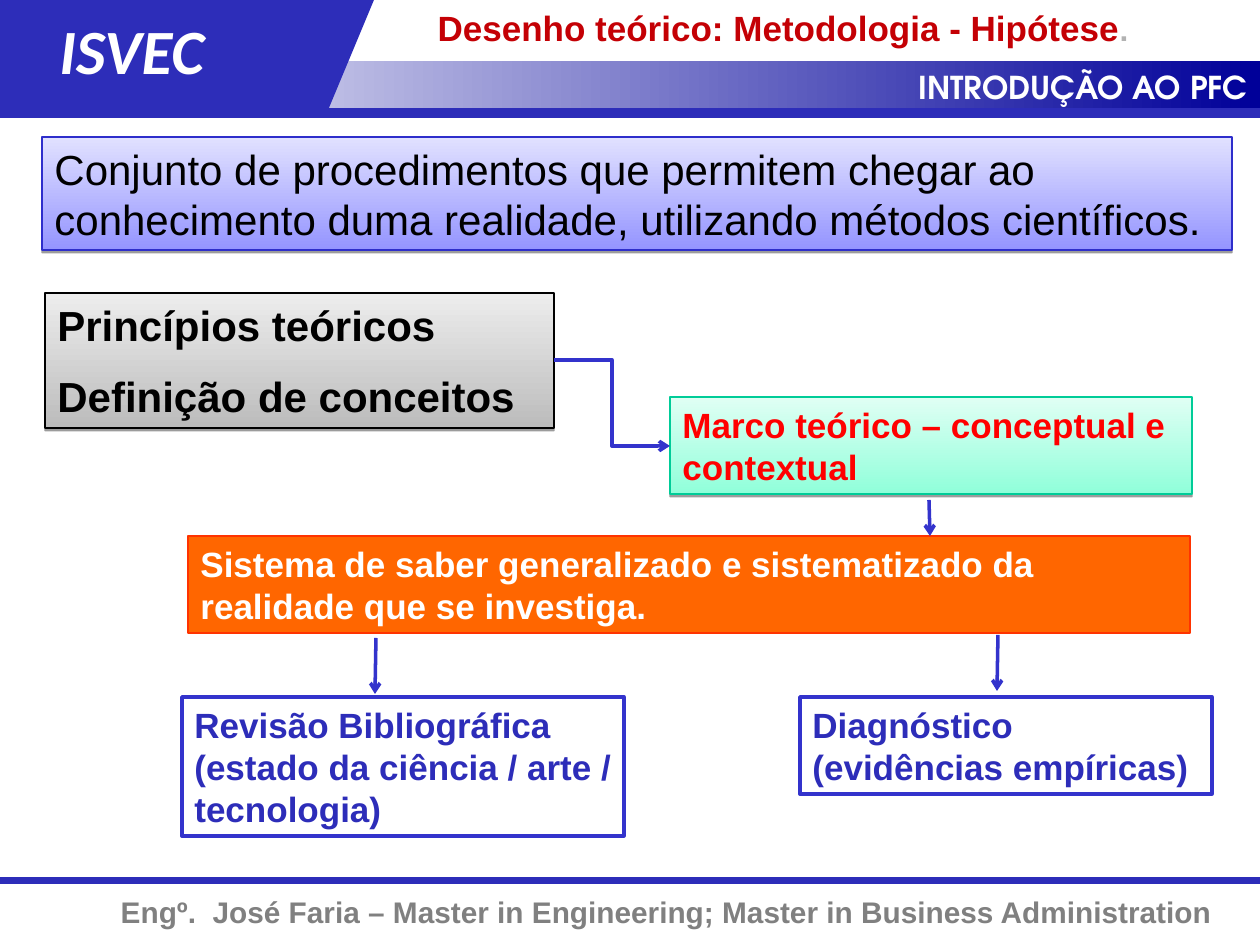
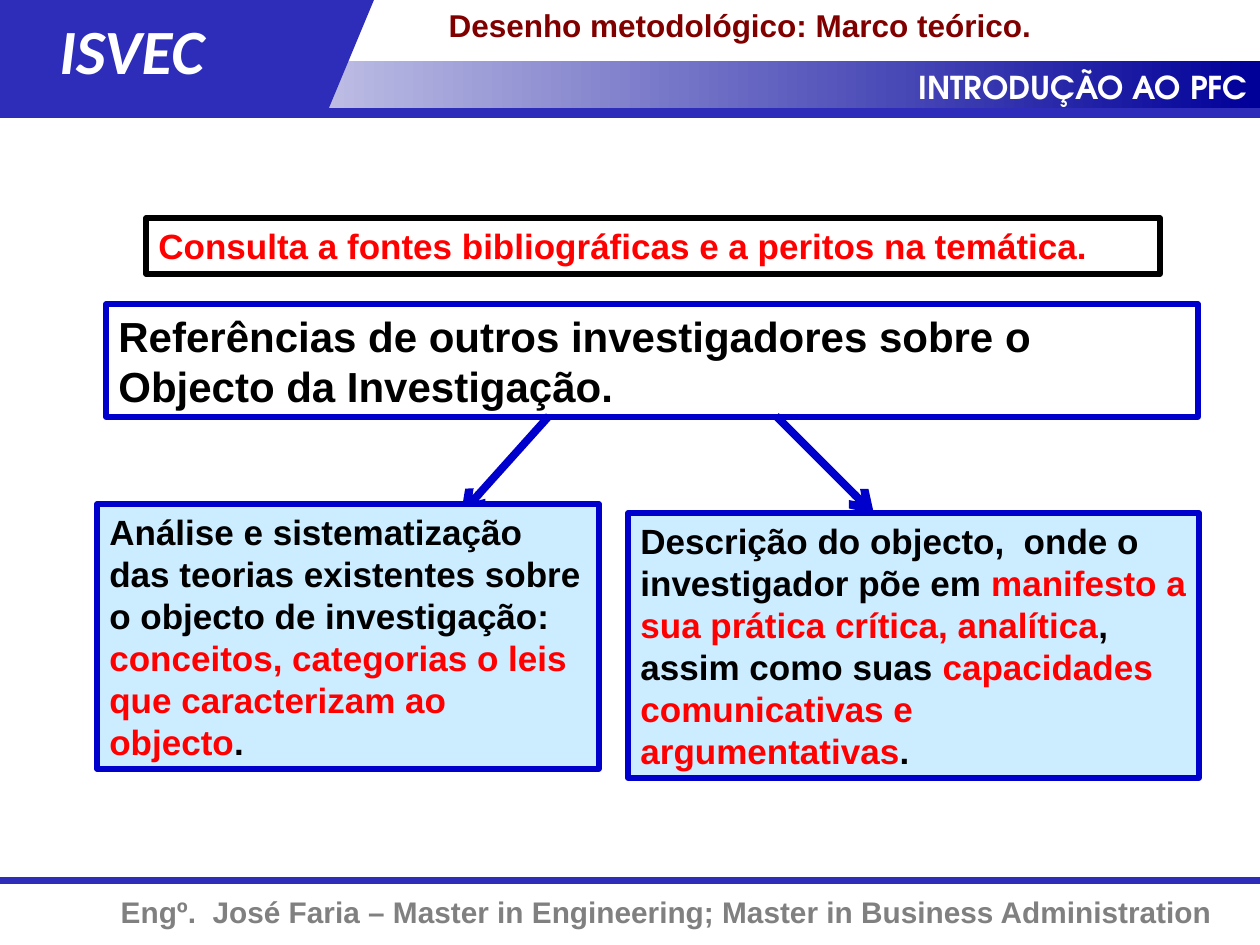
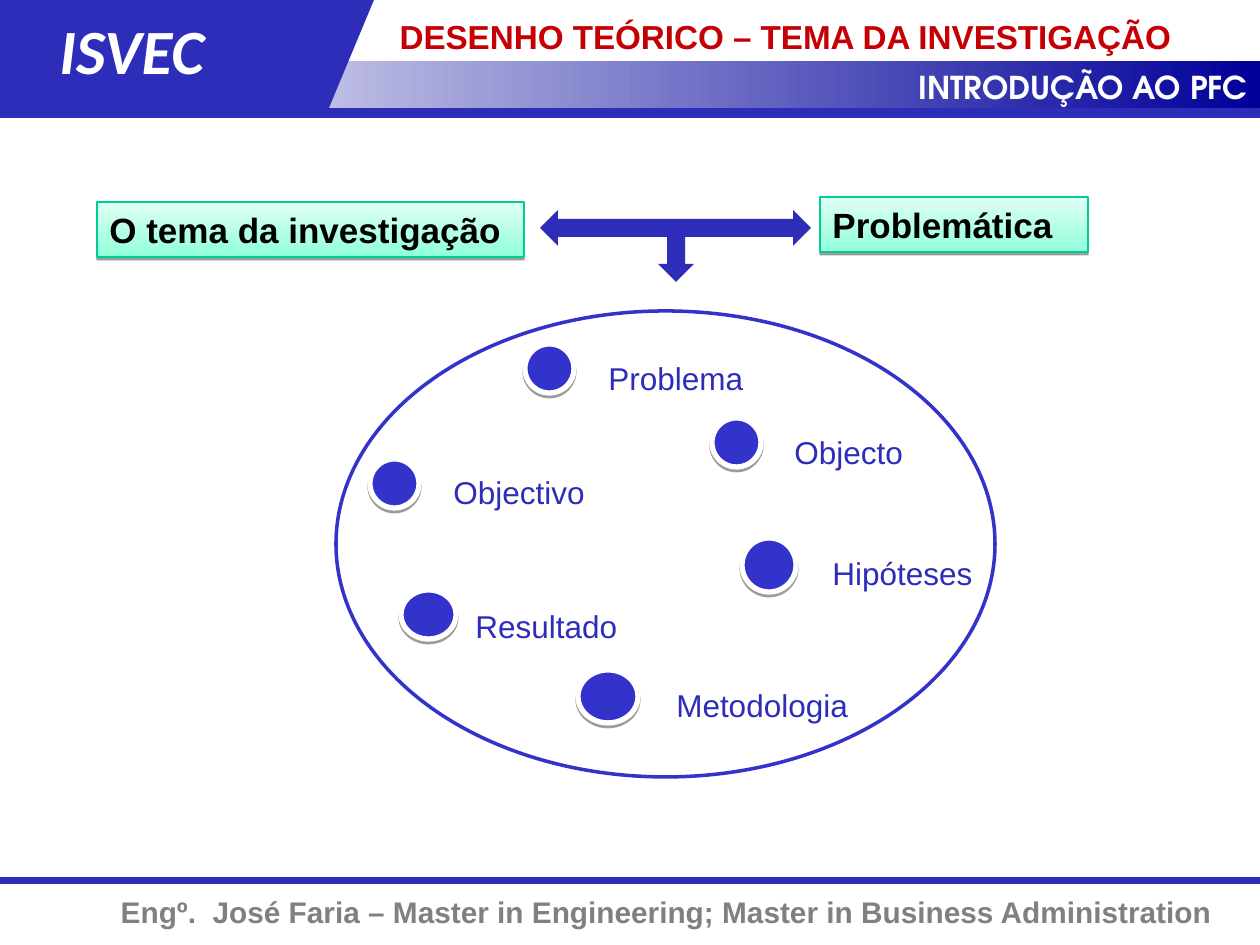
"""Builds three lecture slides on the theoretical design of a research project."""
from dataclasses import dataclass
from typing import Optional

from lxml import etree
from pptx import Presentation
from pptx import util as u
from pptx.dml.color import RGBColor
from pptx.enum import shapes, text
from pptx.oxml import ns

PX = 914400 / 126  # EMU in one pixel


@dataclass(frozen=True)
class Theme:
    """Colours, fonts and type sizes shared by the slides."""
    navy: str = "2D2DB9"
    blue: str = "3333CC"
    royal: str = "0000CC"
    midnight: str = "000099"
    sky: str = "CCECFF"
    white: str = "FFFFFF"
    black: str = "000000"
    gray: str = "808080"
    silver: str = "B2B2B2"
    red: str = "FF0000"
    crimson: str = "C40005"
    maroon: str = "800000"
    orange: str = "FF6600"
    vermilion: str = "FF3300"
    body_font: str = "Arial"
    band_font: str = "TeX Gyre Adventor"
    name_font: str = "Calibri"
    name: float = 36
    large: float = 24
    medium: float = 20
    heading: float = 19
    small: float = 18
    footer: float = 17


THEME = Theme()
LEFT, RIGHT, JUSTIFY = text.PP_ALIGN.LEFT, text.PP_ALIGN.RIGHT, text.PP_ALIGN.JUSTIFY
Area = tuple[int, int, int, int]


@dataclass(frozen=True)
class Span:
    """A piece of text that differs in colour or size from its paragraph."""
    words: str
    color: Optional[str] = None
    size: Optional[float] = None


@dataclass(frozen=True)
class Type:
    """How the paragraphs of one box are set."""
    size: float = THEME.medium
    color: str = THEME.black
    bold: bool = True
    italic: bool = False
    font: str = THEME.body_font
    align: text.PP_ALIGN = LEFT
    gap: float = 0


@dataclass(frozen=True)
class Look:
    """Fill (one colour, or two from bottom to top), outline and shadow."""
    fill: tuple[str, ...] = ()
    line: Optional[str] = None
    weight: float = 0.75
    shadow: bool = False


@dataclass(frozen=True)
class Box:
    """A rectangle with text; each paragraph is a tuple of spans."""
    area: Area
    look: Look
    type: Type
    paragraphs: tuple[tuple[Span, ...], ...]


@dataclass(frozen=True)
class Topic:
    """A dot in the large ellipse and the label beside it."""
    dot: Area
    label: Area
    words: str


SOLID_NAVY = Look((THEME.navy,))
LILAC = Look(("9595FF", "E1E1FF"), "2E2ECB", shadow=True)
SILVER = Look(("BCBCBC", "EDEDED"), THEME.black, shadow=True)
MINT = Look(("90FFDA", "E0FFF4"), "00CC98", shadow=True)
ORANGE = Look((THEME.orange,), THEME.vermilion)
OUTLINED = Look((THEME.white,), THEME.blue, 2)
SKY = Look((THEME.sky,), THEME.royal, 3)
DOT = Look((THEME.blue,), THEME.white, 3, True)


def px(*lengths: float) -> list[u.Emu]:
    """Turn pixels into EMU."""
    return [u.Emu(round(length * PX)) for length in lengths]


def rgb(color: str) -> RGBColor:
    """Turn a hex string into a colour."""
    return RGBColor.from_string(color)


def one(words: str) -> tuple[tuple[Span, ...], ...]:
    """Wrap plain words as a single paragraph."""
    return ((Span(words),),)


def paint(shape, look: Look, angle: float = 90) -> None:
    """Give a shape its fill, outline and shadow."""
    shape.shadow.inherit = False
    if len(look.fill) == 2:
        shape.fill.gradient()
        shape.fill.gradient_angle = angle
        for stop, color in zip(shape.fill.gradient_stops, look.fill):
            stop.color.rgb = rgb(color)
    elif look.fill:
        shape.fill.solid()
        shape.fill.fore_color.rgb = rgb(look.fill[0])
    else:
        shape.fill.background()
    if look.line:
        shape.line.color.rgb = rgb(look.line)
        shape.line.width = u.Pt(look.weight)
    else:
        shape.line.fill.background()
    if look.shadow:
        effects = shape.element.spPr.find(ns.qn("a:effectLst"))
        outer = etree.SubElement(effects, ns.qn("a:outerShdw"), blurRad="0",
                                 dist=str(u.Pt(1.6)), dir="5400000", rotWithShape="0")
        color = etree.SubElement(outer, ns.qn("a:srgbClr"), val=THEME.black)
        etree.SubElement(color, ns.qn("a:alpha"), val="38000")


def write(shape, paragraphs: tuple[tuple[Span, ...], ...], type_: Type) -> None:
    """Set paragraphs of spans in a shape, from its top."""
    frame = shape.text_frame
    frame.word_wrap = True
    frame.auto_size = text.MSO_AUTO_SIZE.NONE
    frame.vertical_anchor = text.MSO_ANCHOR.TOP
    for index, spans in enumerate(paragraphs):
        para = frame.add_paragraph() if index else frame.paragraphs[0]
        para.alignment = type_.align
        para.space_before = u.Pt(type_.gap if index else 0)
        font = para.font
        font.name, font.size = type_.font, u.Pt(type_.size)
        font.bold, font.italic = type_.bold, type_.italic
        font.color.rgb = rgb(type_.color)
        for span in spans:
            run = para.add_run()
            run.text = span.words
            if span.color:
                run.font.color.rgb = rgb(span.color)
            if span.size:
                run.font.size = u.Pt(span.size)


def add_form(parent, kind: shapes.MSO_SHAPE, area: Area, look: Look, angle: float = 90):
    """Add a painted preset shape."""
    shape = parent.add_shape(kind, *px(*area))
    paint(shape, look, angle)
    return shape


def add_box(page, box: Box) -> None:
    """Add a rectangle with text."""
    shape = add_form(page.shapes, shapes.MSO_SHAPE.RECTANGLE, box.area, box.look)
    write(shape, box.paragraphs, box.type)


def add_label(parent, area: Area, words: str, type_: Type) -> None:
    """Add a text box with one paragraph."""
    write(parent.add_textbox(*px(*area)), one(words), type_)


def add_line(page, ends: Area, color: str, weight: float, arrow: bool = True,
             kind: shapes.MSO_CONNECTOR = shapes.MSO_CONNECTOR.STRAIGHT) -> None:
    """Add a connector from (x, y) to (x, y), with an arrowhead if asked."""
    line = page.shapes.add_connector(kind, *px(*ends))
    line.line.color.rgb = rgb(color)
    line.line.width = u.Pt(weight)
    if arrow:
        etree.SubElement(line.line._get_or_add_ln(), ns.qn("a:tailEnd"), type="arrow")
    etree.SubElement(line.element.spPr, ns.qn("a:effectLst"))


def furnish(layout, page) -> None:
    """Draw the header and footer on a page and move them to its layout."""
    start = len(page.shapes)
    add_line(page, (0, 881, 1260, 881), THEME.navy, 4, False)
    add_label(page.shapes, (0, 888, 1225, 49),
              "Engº.  José Faria – Master in Engineering; Master in Business Administration",
              Type(THEME.footer, THEME.gray, align=RIGHT))
    rectangle = shapes.MSO_SHAPE.RECTANGLE
    add_form(page.shapes, rectangle, (0, 61, 1260, 49),
             Look((THEME.white, THEME.midnight)), 0)
    add_form(page.shapes, shapes.MSO_SHAPE.FLOWCHART_DATA, (147, 0, 227, 109), SOLID_NAVY)
    add_form(page.shapes, rectangle, (0, 0, 200, 109), SOLID_NAVY)
    add_label(page.shapes, (549, 62, 711, 50), "INTRODUÇÃO AO PFC",
              Type(THEME.small, THEME.white, font=THEME.band_font, align=RIGHT))
    add_label(page.shapes, (47, 5, 243, 88), "ISVEC",
              Type(THEME.name, THEME.white, italic=True, font=THEME.name_font))
    add_line(page, (0, 113, 1260, 113), THEME.navy, 6, False)
    for shape in list(page.shapes)[start:]:
        layout.shapes.element.append(shape.element)


def add_title(page, area: Area, spans: tuple[Span, ...], type_: Type) -> None:
    """Move and set the title placeholder."""
    title = page.shapes.title
    title.left, title.top, title.width, title.height = px(*area)
    write(title, (spans,), type_)


def fill_methodology(page) -> None:
    """Draw the flow from principles to review and diagnosis."""
    add_title(page, (425, 0, 835, 55),
              (Span("Desenho teórico: Metodologia - Hipótese"),
               Span(".", THEME.silver, THEME.small)),
              Type(THEME.medium, THEME.crimson))
    boxes = (
        Box((42, 137, 1190, 113), LILAC, Type(THEME.large, bold=False),
            one("Conjunto de procedimentos que permitem chegar ao conhecimento duma "
                "realidade, utilizando métodos científicos.")),
        Box((45, 293, 509, 135), SILVER, Type(THEME.large, gap=12),
            one("Princípios teóricos") + one("Definição de conceitos")),
        Box((670, 397, 522, 97), MINT, Type(color=THEME.red),
            one("Marco teórico – conceptual e contextual")),
        Box((188, 536, 1002, 97), ORANGE, Type(color=THEME.white),
            one("Sistema de saber generalizado e sistematizado da realidade que se investiga.")),
        Box((182, 697, 442, 139), OUTLINED, Type(color=THEME.navy),
            one("Revisão Bibliográfica (estado da ciência / arte / tecnologia)")),
        Box((800, 697, 412, 97), OUTLINED, Type(color=THEME.navy, align=JUSTIFY),
            one("Diagnóstico (evidências empíricas)")),
    )
    for box in boxes:
        add_box(page, box)
    add_line(page, (554, 360, 670, 446), THEME.blue, 2, kind=shapes.MSO_CONNECTOR.ELBOW)
    for ends in ((929, 500, 930, 536), (376, 638, 375, 694), (998, 635, 997, 691)):
        add_line(page, ends, THEME.blue, 2)


def fill_framework(page) -> None:
    """Draw the sources and the two results of consulting them."""
    add_title(page, (436, 0, 635, 50), (Span("Desenho metodológico: Marco teórico."),),
              Type(THEME.small, THEME.maroon))
    sources = (
        Box((146, 218, 1014, 56), Look((), THEME.black, 3), Type(color=THEME.red),
            one("Consulta a fontes bibliográficas e a peritos na temática.")),
        Box((106, 304, 1092, 113), Look((), THEME.royal, 3), Type(THEME.large),
            one("Referências de outros investigadores sobre o Objecto da Investigação.")),
    )
    results = (
        Box((628, 513, 571, 265), SKY, Type(), ((
            Span("Descrição do objecto,  onde o investigador põe em "),
            Span("manifesto a sua prática crítica, analítica", THEME.red),
            Span(", assim como suas "),
            Span("capacidades comunicativas e argumentativas", THEME.red),
            Span(".")),)),
        Box((97, 504, 502, 265), SKY, Type(), ((
            Span("Análise e sistematização das teorias existentes sobre o objecto "
                 "de investigação: "),
            Span("conceitos, categorias o leis que caracterizam ao objecto", THEME.red),
            Span(".")),)),
    )
    for box in sources:
        add_box(page, box)
    for ends in ((549, 416, 461, 514), (776, 416, 874, 514)):
        add_line(page, ends, THEME.royal, 4.5)
    for box in results:
        add_box(page, box)


def add_three_way_arrow(page) -> None:
    """Draw the arrow that points left, right and down."""
    left, right, middle, stem = 540, 811, 228, 676
    head, half, neck = 18, 9, 264
    points = (
        (right - head, middle + head), (right - head, middle + half),
        (stem + half, middle + half), (stem + half, neck), (stem + head, neck),
        (stem, neck + head), (stem - head, neck), (stem - half, neck),
        (stem - half, middle + half), (left + head, middle + half),
        (left + head, middle + head), (left, middle), (left + head, middle - head),
        (left + head, middle - half), (right - head, middle - half),
        (right - head, middle - head),
    )
    outline = page.shapes.build_freeform(right, middle, scale=PX)
    outline.add_line_segments(points, close=True)
    paint(outline.convert_to_shape(), SOLID_NAVY)


def add_topic(page, topic: Topic) -> None:
    """Draw a dot and its label as one group."""
    group = page.shapes.add_group_shape()
    add_form(group.shapes, shapes.MSO_SHAPE.OVAL, topic.dot, DOT)
    add_label(group.shapes, topic.label, topic.words,
              Type(THEME.small, THEME.navy, bold=False))


def fill_theme(page) -> None:
    """Draw the research theme, the problem area and the topics they lead to."""
    add_title(page, (387, 10, 873, 60), (Span("DESENHO TEÓRICO – TEMA DA INVESTIGAÇÃO"),),
              Type(THEME.heading, THEME.crimson))
    add_box(page, Box((97, 202, 427, 55), MINT, Type(), one("O tema da investigação")))
    add_box(page, Box((820, 197, 268, 55), MINT, Type(), one("Problemática")))
    add_form(page.shapes, shapes.MSO_SHAPE.OVAL, (336, 311, 659, 466), OUTLINED)
    topics = (
        Topic((525, 344, 49, 49), (596, 353, 164, 50), "Problema"),
        Topic((370, 459, 49, 49), (441, 467, 164, 50), "Objectivo"),
        Topic((712, 418, 49, 49), (782, 427, 164, 50), "Objecto"),
        Topic((401, 590, 55, 49), (463, 601, 184, 50), "Resultado"),
        Topic((742, 538, 54, 54), (820, 548, 180, 50), "Hipóteses"),
        Topic((578, 670, 60, 53), (664, 680, 199, 50), "Metodologia"),
    )
    for topic in topics:
        add_topic(page, topic)
    add_three_way_arrow(page)


def main() -> None:
    """Build and save the deck."""
    deck = Presentation()
    deck.slide_width, deck.slide_height = px(1260, 945)
    layout = deck.slide_layouts.get_by_name("Title Only")
    pages = [deck.slides.add_slide(layout) for _ in range(3)]
    furnish(layout, pages[0])
    for fill, page in zip((fill_methodology, fill_framework, fill_theme), pages):
        fill(page)
    deck.save("out.pptx")


main()
